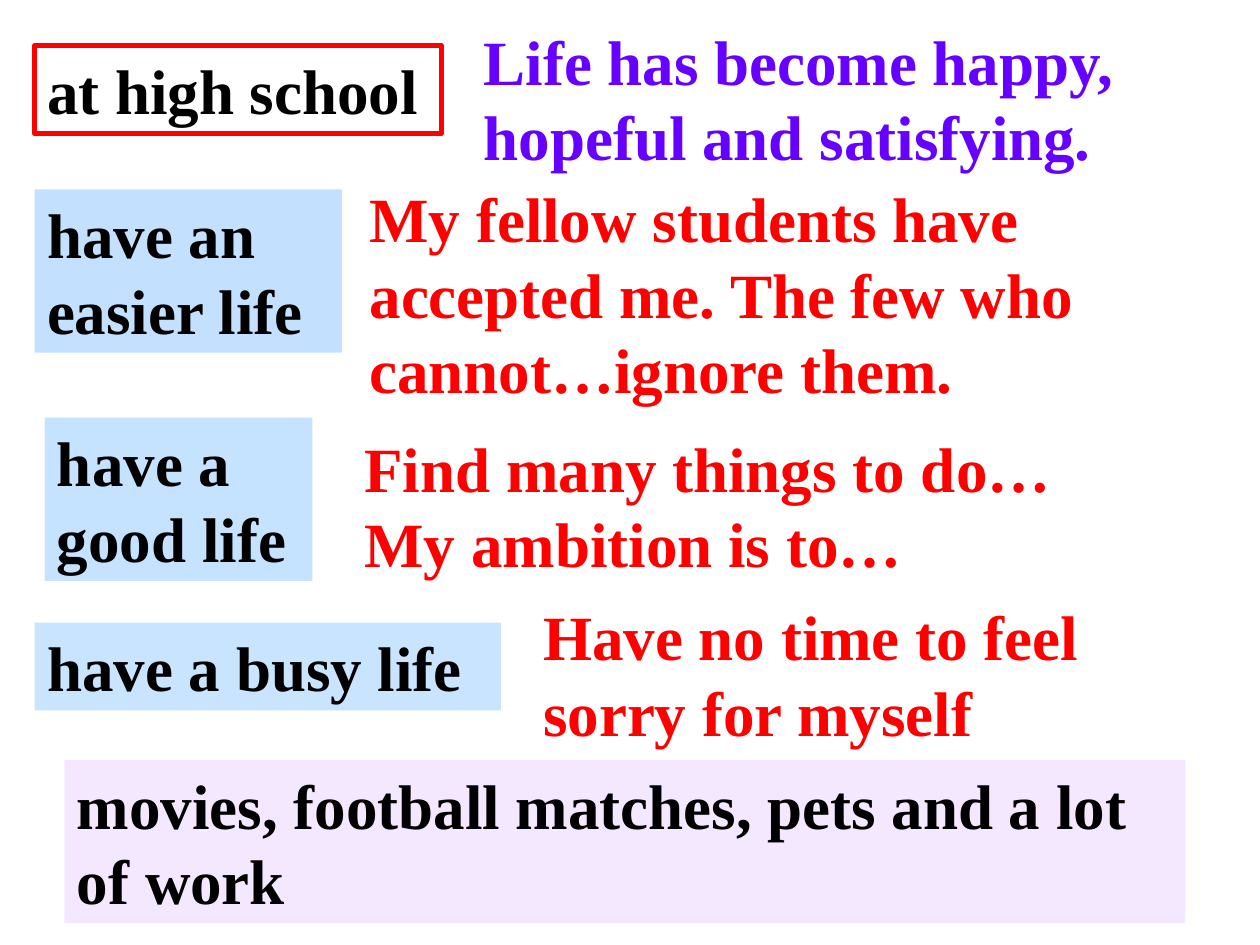
from lxml import etree
from pptx import Presentation
from pptx.dml.color import RGBColor
from pptx.enum.text import MSO_AUTO_SIZE
from pptx.oxml.ns import qn
from pptx.util import Cm, Pt

BLACK = RGBColor(0x00, 0x00, 0x00)
RED = RGBColor(0xFF, 0x00, 0x00)
VIOLET = RGBColor(0x66, 0x00, 0xFF)
BLUE = RGBColor(0x99, 0xCC, 0xFF)
LILAC = RGBColor(0xCC, 0x99, 0xFF)
FIT_TEXT = MSO_AUTO_SIZE.SHAPE_TO_FIT_TEXT

LINE = 1.52  # height of one text line in cm
PADDING = 0.25  # top and bottom insets together

prs = Presentation()
prs.slide_width, prs.slide_height = Cm(25.4), Cm(19.05)
s = prs.slides.add_slide(prs.slide_layouts[6])


def add_text(text, left, top, width, lines, color):
    sp = s.shapes.add_textbox(Cm(left), Cm(top), Cm(width), Cm(lines * LINE + PADDING))
    tf = sp.text_frame
    tf.word_wrap = True
    tf.auto_size = FIT_TEXT
    tf.text = text
    for p in tf.paragraphs:
        p.font.name = "Times New Roman"
        p.font.size = Pt(36)
        p.font.bold = True
        p.font.color.rgb = color
    return sp


def fill_tint(sp, color, opacity):
    """Fill with a see-through colour; opacity is in percent."""
    sp.fill.solid()
    sp.fill.fore_color.rgb = color
    clr = sp.fill._xPr.find(qn("a:solidFill"))[0]
    etree.SubElement(clr, qn("a:alpha"), val=str(opacity * 1000))


# Labels: text, left, top, width, lines, tint, opacity
labels = [
    ("have an easier life", 0.7, 3.82, 6.2, 2, BLUE, 58),
    ("have a good life", 0.9, 8.42, 5.4, 2, BLUE, 56),
    ("have a busy life", 0.7, 12.55, 9.4, 1, BLUE, 53),
    ("movies, football matches, pets and a lot of work", 1.3, 15.32, 22.6, 2, LILAC, 22),
]
for text, left, top, width, lines, tint, opacity in labels:
    sp = add_text(text, left, top, width, lines, BLACK)
    fill_tint(sp, tint, opacity)

# Framed heading
sp = add_text("at high school", 0.7, 0.92, 8.2, 1, BLACK)
sp.line.color.rgb = RED
sp.line.width = Pt(3)

# Statements beside the labels: text, left, top, width, lines, colour
statements = [
    ("Life has become happy, hopeful and satisfying.", 9.5, 0.32, 14.6, 2, VIOLET),
    ("My fellow students have accepted me. The few who cannot…ignore them.",
     7.2, 3.5, 16.9, 3, RED),
    ("Find many things to do…\nMy ambition is to…", 7.1, 8.53, 15.4, 2, RED),
    ("Have no time to feel sorry for myself", 10.7, 11.92, 13.4, 2, RED),
]
for statement in statements:
    add_text(*statement)

prs.save("out.pptx")
